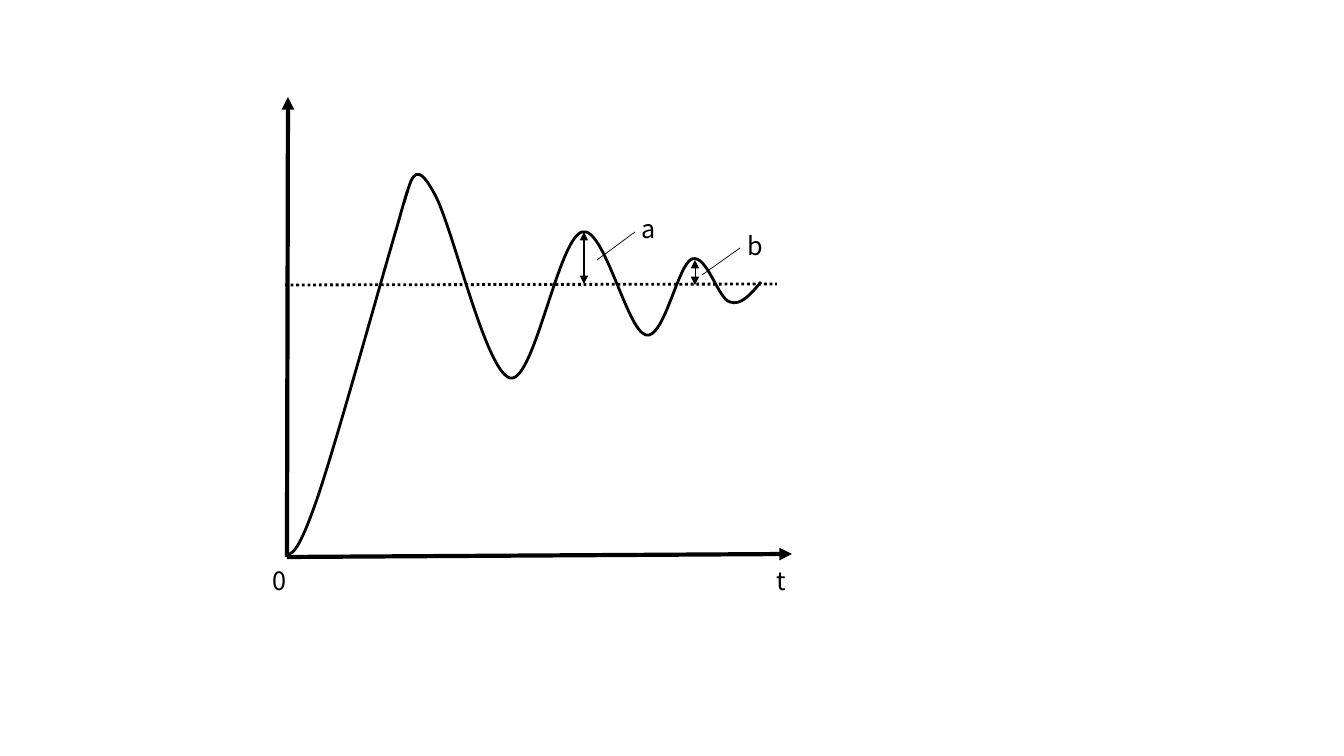
from pptx import Presentation
from pptx.dml.color import RGBColor
from pptx.enum.dml import MSO_LINE_DASH_STYLE as Dash
from pptx.enum.shapes import MSO_CONNECTOR as Connector
from pptx.enum.text import MSO_AUTO_SIZE as AutoSize
from pptx.oxml.ns import qn
from pptx.util import Pt
from lxml.etree import SubElement

SCALE = 914400 / 100.8


def px(length):
    return round(length * SCALE)


def color(hex_code):
    return RGBColor.from_string(hex_code)


def apply(target, formats):
    for key, value in formats.items():
        setattr(target, key, value)


class Diagram:
    ink = "000000"
    font = "Noto Sans CJK JP"
    text_size = 18

    def __init__(self, slide):
        self.shapes = slide.shapes

    def stroke(self, line, width, dash=None):
        line.color.rgb = color(self.ink)
        apply(line, {"width": Pt(width), "dash_style": dash})

    def line(self, start, end, width, dash=None, heads=()):
        connector = self.shapes.add_connector(
            Connector.STRAIGHT, *map(px, (*start, *end))
        )
        self.stroke(connector.line, width, dash)
        properties = connector.element.spPr
        outline = properties.find(qn("a:ln"))
        for head in heads:
            SubElement(outline, qn(f"a:{head}"), type="triangle")
        SubElement(properties, qn("a:effectLst"))

    def curve(self, bounds, start, segments, width):
        left, top, right, bottom = bounds
        builder = self.shapes.build_freeform(px(left), px(top), scale=1.0)
        builder.add_line_segments([(px(right), px(bottom))], close=False)
        shape = builder.convert_to_shape()
        outline = next(shape.element.iter(qn("a:path")))
        for straight in list(outline):
            outline.remove(straight)
        steps = [("moveTo", [start])]
        steps += [("cubicBezTo", segment) for segment in segments]
        for command, points in steps:
            step = SubElement(outline, qn(f"a:{command}"))
            for x, y in points:
                SubElement(
                    step, qn("a:pt"), x=str(px(x - left)), y=str(px(y - top))
                )
        shape.shadow.inherit = False
        shape.fill.background()
        self.stroke(shape.line, width)

    def label(self, wording, left, top, width, height=30):
        box = self.shapes.add_textbox(*map(px, (left, top, width, height)))
        frame = box.text_frame
        apply(frame, {
            "margin_left": 0, "margin_right": 0,
            "margin_top": 0, "margin_bottom": 0,
            "word_wrap": True, "auto_size": AutoSize.SHAPE_TO_FIT_TEXT,
        })
        run = frame.paragraphs[0].add_run()
        run.text = wording
        apply(run.font, {"name": self.font, "size": Pt(self.text_size)})
        run.font.color.rgb = color(self.ink)


deck = Presentation()
apply(deck, {"slide_width": px(1344), "slide_height": px(756)})
diagram = Diagram(deck.slides.add_slide(deck.slide_layouts[6]))

origin = (287, 557)
for axis_end in ((288, 97), (792, 554)):
    diagram.line(origin, axis_end, 3, heads=["tailEnd"])

rise = [
    ((291, 555), (297, 556), (316, 502)),
    ((335, 448), (382, 277), (397, 227)),
    ((411, 177), (408, 190), (404, 203)),
]
oscillation = [
    ((412, 176), (417, 161), (434, 193)),
    ((452, 223), (485, 371), (510, 378)),
    ((534, 384), (558, 239), (582, 232)),
    ((604, 225), (627, 331), (646, 335)),
    ((664, 340), (678, 264), (692, 259)),
    ((707, 254), (718, 299), (730, 302)),
    ((741, 306), (751, 294), (761, 282)),
]
diagram.curve((285, 192, 407, 555), (285, 554), rise, 2)
diagram.label("0", 273, 565, 100)
diagram.curve((407, 174, 761, 378), (407, 193), oscillation, 2)
diagram.label("t", 777, 565, 52)

diagram.line((285, 285), (777, 284), 2, dash=Dash.ROUND_DOT)

amplitudes = [
    ((584, 232), (584, 284), 2),
    ((695, 260), (695, 285), 0.5),
]
for peak, steady, width in amplitudes:
    diagram.line(peak, steady, width, heads=["headEnd", "tailEnd"])

for near_peak, near_label in (((597, 260), (635, 232)), ((702, 275), (740, 248))):
    diagram.line(near_peak, near_label, 0.5)

for wording, left, top in (("a", 642, 213), ("b", 748, 230)):
    diagram.label(wording, left, top, 52)

deck.save("out.pptx")
